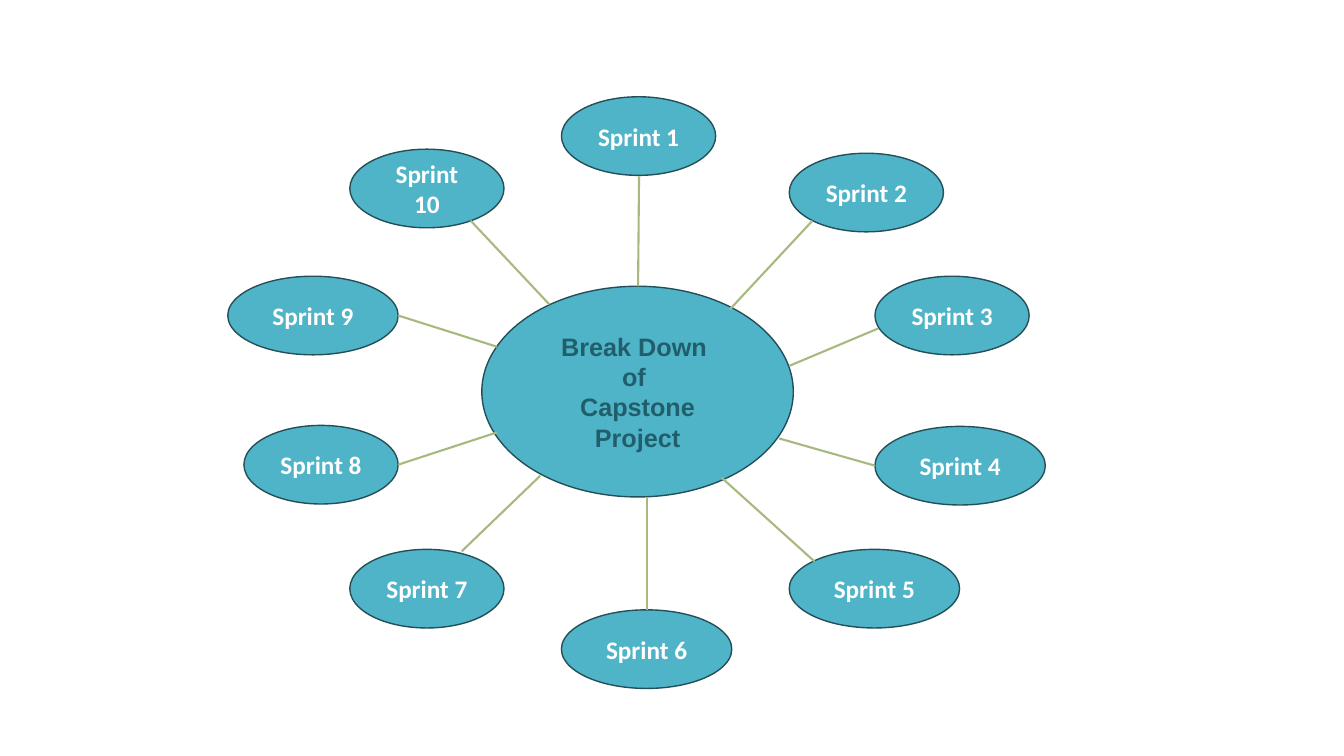
from lxml.etree import SubElement
from pptx import Presentation
from pptx.dml.color import RGBColor
from pptx.enum.shapes import MSO_CONNECTOR as Connector, MSO_SHAPE as Shape
from pptx.enum.text import MSO_ANCHOR as Anchor, PP_ALIGN as Align
from pptx.oxml.ns import qn
from pptx.util import Inches, Pt

WIDTH, HEIGHT = Inches(13.33), Inches(7.5)
COLUMNS, ROWS = 80, 45

TEAL, OUTLINE, SPOKE = "50B4C8", "234F58", "A8B97F"
HUB_FONT = {"name": "Arial", "size": Pt(18), "bold": True}
SPRINT_FONT = {"name": "Calibri", "size": Pt(18), "bold": True}

HUB_BOX = (28.68, 17.04, 18.54, 12.54)
HUB_LINES = ["Break Down ", "of ", "Capstone Project"]
NARROW, WIDE, BUBBLE_HEIGHT = 9.18, 10.14, 4.68

# Sprints clockwise from the top: left, top, width, spoke start, spoke end
SPRINTS = [
    (33.42, 5.76, NARROW, (37.98, 17.04), (38.04, 10.5)),
    (46.98, 9.12, NARROW, (43.44, 18.42), (48.36, 13.14)),
    (52.08, 16.44, NARROW, (46.98, 21.78), (52.26, 19.56)),
    (52.08, 25.38, WIDE, (46.38, 26.1), (52.08, 27.72)),
    (46.98, 32.7, WIDE, (42.96, 28.44), (48.48, 33.42)),
    (33.42, 36.3, WIDE, (38.52, 29.58), (38.52, 36.3)),
    (20.82, 32.7, NARROW, (32.16, 28.32), (27.48, 32.82)),
    (14.52, 25.32, NARROW, (29.58, 25.74), (23.7, 27.66)),
    (13.56, 16.44, WIDE, (29.58, 20.64), (23.7, 18.78)),
    (20.82, 8.88, NARROW, (32.7, 18.12), (28.02, 13.14)),
]


def color(value):
    return RGBColor.from_string(value)


def across(columns):
    return round(WIDTH * columns / COLUMNS)


def down(rows):
    return round(HEIGHT * rows / ROWS)


def add_bubble(slide, box, lines, font, font_color):
    left, top, width, height = box
    shape = slide.shapes.add_shape(
        Shape.OVAL, across(left), down(top), across(width), down(height))
    shape.shadow.inherit = False
    shape.fill.solid()
    shape.fill.fore_color.rgb = color(TEAL)
    shape.line.color.rgb = color(OUTLINE)
    shape.line.width = Pt(1)

    frame = shape.text_frame
    frame.word_wrap = True
    frame.vertical_anchor = Anchor.MIDDLE
    for index, line in enumerate(lines):
        paragraph = frame.add_paragraph() if index else frame.paragraphs[0]
        paragraph.alignment = Align.CENTER
        run = paragraph.add_run()
        run.text = line
        run.font.color.rgb = color(font_color)
        for name, value in font.items():
            setattr(run.font, name, value)


def add_spoke(slide, start, end):
    spoke = slide.shapes.add_connector(
        Connector.STRAIGHT, across(start[0]), down(start[1]),
        across(end[0]), down(end[1]))
    spoke.line.color.rgb = color(SPOKE)
    spoke.line.width = Pt(1.5)
    # An empty effect list removes the theme shadow
    SubElement(spoke.element.spPr, qn("a:effectLst"))


def main():
    presentation = Presentation()
    presentation.slide_width, presentation.slide_height = WIDTH, HEIGHT
    slide = presentation.slides.add_slide(presentation.slide_layouts[6])

    # Hub and the sprints around it
    add_bubble(slide, HUB_BOX, HUB_LINES, HUB_FONT, "215E6B")
    for number, (left, top, width, _, _) in enumerate(SPRINTS, 1):
        add_bubble(slide, (left, top, width, BUBBLE_HEIGHT),
                   [f"Sprint {number}"], SPRINT_FONT, "FFFFFF")

    # Spokes from the hub to each sprint
    for *_, start, end in SPRINTS:
        add_spoke(slide, start, end)

    presentation.save("out.pptx")


if __name__ == "__main__":
    main()
